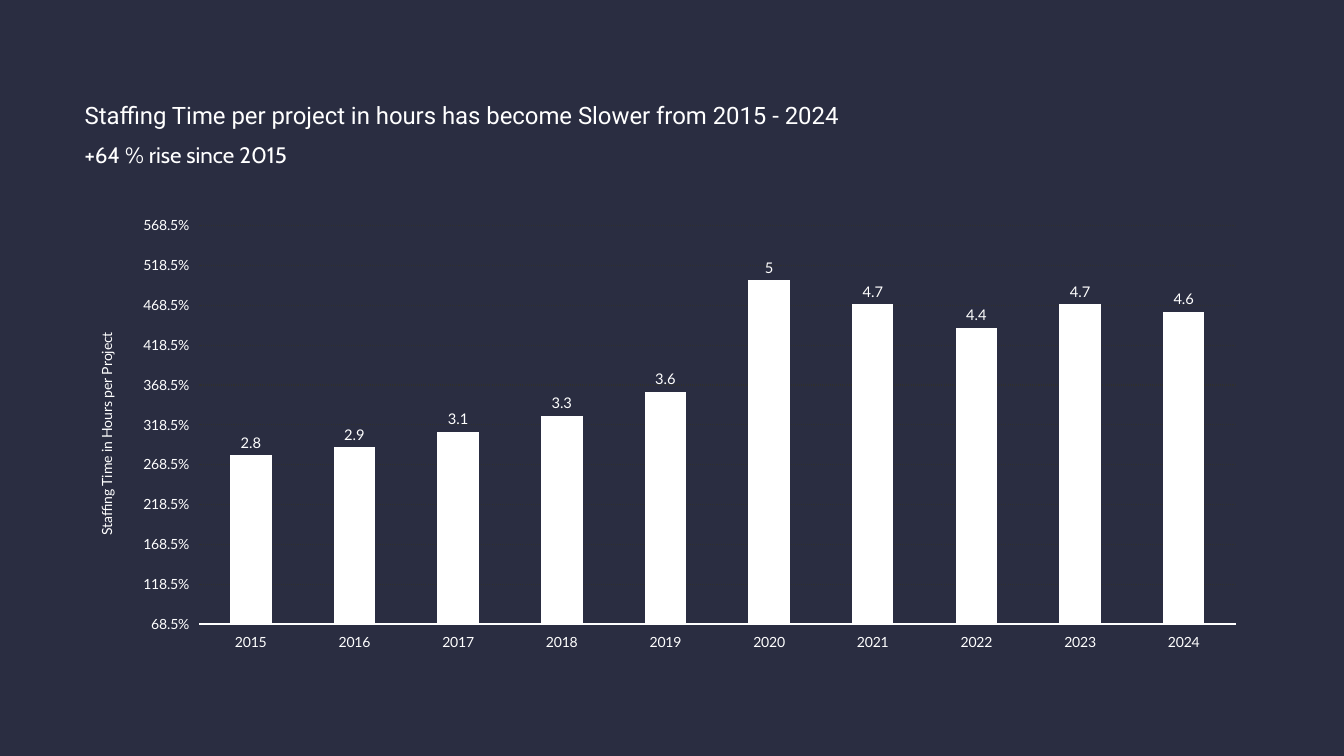
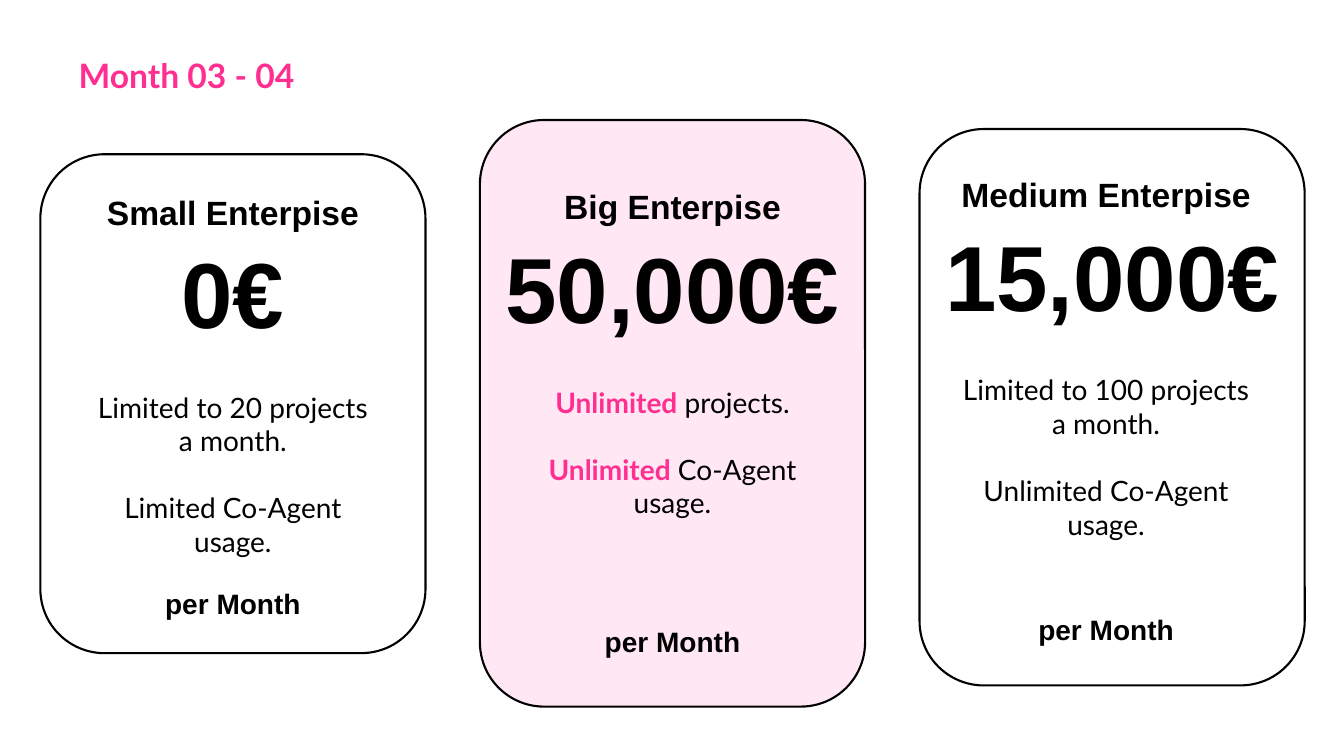
"""Builds a staffing time chart slide and a pricing card slide."""
import pptx
import pptx.chart.data
import pptx.dml.color
import pptx.enum.chart
import pptx.enum.dml
import pptx.enum.shapes
import pptx.enum.text
import pptx.oxml
import pptx.oxml.ns
import pptx.util

Inches = pptx.util.Inches
Pt = pptx.util.Pt
RGBColor = pptx.dml.color.RGBColor
Anchor = pptx.enum.text.MSO_ANCHOR
Align = pptx.enum.text.PP_ALIGN

NAVY = RGBColor(0x2A, 0x2D, 0x41)
WHITE = RGBColor(0xFF, 0xFF, 0xFF)
BLACK = RGBColor(0, 0, 0)
PINK = RGBColor(0xFF, 0x2F, 0x92)
GRID_GREY = RGBColor(0x2F, 0x2F, 0x2F)

SLIDE_SIZE = (13.33, 7.5)

CHART_TITLE = "Staffing Time per project in hours has become Slower from 2015 - 2024"
CHART_SUBTITLE = "+64 % rise since 2015"
AXIS_TITLE = "Staffing Time in Hours per Project"
YEARS = [str(year) for year in range(2015, 2025)]
HOURS = [2.8, 2.9, 3.1, 3.3, 3.6, 5, 4.7, 4.4, 4.7, 4.6]
AXIS_MINIMUM, AXIS_MAXIMUM, AXIS_STEP = 0.685, 5.685, 0.5
PLOT_SHARES = {"x": 0.105, "y": 0.04, "w": 0.875, "h": 0.88}

PRICING_TITLE = "Month 03 - 04"
PERIOD = "per Month"
CARDS = [
    {"name": "Small Enterpise", "price": "0€", "top": 1.53, "height": 4.95,
     "text_top": 1.85, "period_top": 5.77, "shift": 0, "tinted": False,
     "features": [("", "Limited to 20 projects a month."),
                  ("", "Limited Co-Agent usage.")]},
    {"name": "Big Enterpise", "price": "50,000€", "top": 1.19, "height": 5.82,
     "text_top": 1.8, "period_top": 6.15, "shift": 0, "tinted": True,
     "features": [("Unlimited", " projects."),
                  ("Unlimited", " Co-Agent usage.")]},
    {"name": "Medium Enterpise", "price": "15,000€", "top": 1.28, "height": 5.52,
     "text_top": 1.68, "period_top": 6.03, "shift": -0.06, "tinted": False,
     "features": [("", "Limited to 100 projects a month."),
                  ("", "Unlimited Co-Agent usage.")]},
]
CARD_LEFT, CARD_PITCH, CARD_WIDTH, TEXT_WIDTH = 0.4, 4.36, 3.82, 3.08
PRICE_OFFSET, FEATURES_OFFSET = 0.44, 1.97
TINT_ALPHA = 11000


def style_font(font, name, size, color, bold=False):
    font.name = name
    font.size = Pt(size)
    font.bold = bold
    font.color.rgb = color


def add_run(paragraph, text, *style):
    run = paragraph.add_run()
    run.text = text
    style_font(run.font, *style)


def prepare_frame(shape, anchor=Anchor.TOP, alignment=Align.LEFT):
    frame = shape.text_frame
    frame.word_wrap = True
    frame.auto_size = pptx.enum.text.MSO_AUTO_SIZE.NONE
    frame.vertical_anchor = anchor
    frame.paragraphs[0].alignment = alignment
    return frame


def add_text(shapes, box, text, *style, alignment=Align.LEFT):
    shape = shapes.add_textbox(*map(Inches, box))
    frame = prepare_frame(shape, alignment=alignment)
    add_run(frame.paragraphs[0], text, *style)


def add_titled_slide(presentation, background, box, text, *style, anchor=Anchor.TOP):
    slide = presentation.slides.add_slide(presentation.slide_layouts[5])
    slide.background.fill.solid()
    slide.background.fill.fore_color.rgb = background
    title = slide.shapes.title
    title.left, title.top, title.width, title.height = map(Inches, box)
    add_run(prepare_frame(title, anchor).paragraphs[0], text, *style)
    return slide


def place_plot(chart):
    shares = "".join(f'<c:{key} val="{share}"/>' for key, share in PLOT_SHARES.items())
    layout = pptx.oxml.parse_xml(
        f'<c:layout {pptx.oxml.ns.nsdecls("c")}><c:manualLayout>'
        '<c:layoutTarget val="inner"/><c:xMode val="edge"/><c:yMode val="edge"/>'
        f"{shares}</c:manualLayout></c:layout>")
    plot_area = chart._chartSpace.xpath("c:chart/c:plotArea")[0]
    for old_layout in plot_area.xpath("c:layout"):
        plot_area.remove(old_layout)
    plot_area.insert(0, layout)


def style_axes(chart):
    none = pptx.enum.chart.XL_TICK_MARK.NONE
    for axis in (chart.category_axis, chart.value_axis):
        axis.major_tick_mark = axis.minor_tick_mark = none
        axis.tick_label_position = pptx.enum.chart.XL_TICK_LABEL_POSITION.LOW
        style_font(axis.tick_labels.font, "Lato", 10, WHITE)
    chart.category_axis.format.line.color.rgb = WHITE
    chart.category_axis.format.line.width = Pt(2)

    value_axis = chart.value_axis
    value_axis.minimum_scale = AXIS_MINIMUM
    value_axis.maximum_scale = AXIS_MAXIMUM
    value_axis.major_unit = AXIS_STEP
    value_axis.tick_labels.number_format = "#,##0.0%"
    value_axis.tick_labels.number_format_is_linked = False
    value_axis.format.line.fill.background()
    grid_line = value_axis.major_gridlines.format.line
    grid_line.color.rgb = GRID_GREY
    grid_line.width = Pt(0.75)
    grid_line.dash_style = pptx.enum.dml.MSO_LINE.ROUND_DOT
    title_paragraph = value_axis.axis_title.text_frame.paragraphs[0]
    add_run(title_paragraph, AXIS_TITLE, "Lato", 10, WHITE)
    for body in chart._chartSpace.xpath(".//c:valAx/c:title//a:bodyPr"):
        body.set("rot", "-5400000")
        body.set("vert", "horz")


def build_chart_slide(presentation):
    slide = add_titled_slide(presentation, NAVY, (0.74, 0.69, 11.85, 0.64),
                             CHART_TITLE, "Roboto", 17.1, WHITE, anchor=Anchor.BOTTOM)
    add_text(slide.shapes, (0.74, 1.35, 11.85, 0.36), CHART_SUBTITLE, "Cabin", 16, WHITE)
    data = pptx.chart.data.CategoryChartData()
    data.categories = YEARS
    data.add_series("Series 1", HOURS)
    chart = slide.shapes.add_chart(
        pptx.enum.chart.XL_CHART_TYPE.COLUMN_CLUSTERED,
        *map(Inches, (0.74, 2.06, 11.75, 4.49)), data).chart
    chart.has_legend = False
    chart.has_title = False
    style_font(chart.font, "Cabin", 8, BLACK)
    style_axes(chart)
    place_plot(chart)

    plot = chart.plots[0]
    plot.gap_width = 150
    plot.vary_by_categories = False
    series = plot.series[0]
    series.format.fill.solid()
    series.format.fill.fore_color.rgb = WHITE
    labels = series.data_labels
    labels.show_value = True
    labels.position = pptx.enum.chart.XL_LABEL_POSITION.OUTSIDE_END
    style_font(labels.font, "Lato", 10.5, WHITE)


def add_outline(shapes, left, card):
    outline = shapes.add_shape(
        pptx.enum.shapes.MSO_SHAPE.ROUNDED_RECTANGLE,
        *map(Inches, (left, card["top"], CARD_WIDTH, card["height"])))
    outline.shadow.inherit = False
    outline.line.color.rgb = BLACK
    outline.line.width = Pt(1.5)
    if not card["tinted"]:
        outline.fill.background()
        return
    outline.fill.solid()
    outline.fill.fore_color.rgb = PINK
    color = outline._element.spPr.xpath("a:solidFill/a:srgbClr")[0]
    color.append(pptx.oxml.parse_xml(
        f'<a:alpha {pptx.oxml.ns.nsdecls("a")} val="{TINT_ALPHA}"/>'))


def add_features(shapes, box, features):
    frame = prepare_frame(shapes.add_textbox(*map(Inches, box)))
    for index, (highlight, text) in enumerate(features):
        paragraph = frame.add_paragraph() if index else frame.paragraphs[0]
        paragraph.alignment = Align.CENTER
        if index:
            paragraph.space_before = Pt(24)
        if highlight:
            add_run(paragraph, highlight, "Lato", 20, PINK, True)
        add_run(paragraph, text, "Lato", 20, BLACK)


def add_card(slide, index, card):
    shapes = slide.shapes.add_group_shape().shapes
    left = CARD_LEFT + index * CARD_PITCH
    text_left = left + (CARD_WIDTH - TEXT_WIDTH) / 2 + card["shift"]
    text_top = card["text_top"]
    add_outline(shapes, left, card)
    lines = [
        (card["name"], 24, text_left, text_top, TEXT_WIDTH, 0.5),
        (card["price"], 66, left, text_top + PRICE_OFFSET, CARD_WIDTH, 1.21),
        (PERIOD, 20, text_left, card["period_top"], TEXT_WIDTH, 0.44),
    ]
    for text, size, *box in lines:
        add_text(shapes, box, text, "Arial", size, BLACK, True, alignment=Align.CENTER)
    add_features(shapes, (text_left, text_top + FEATURES_OFFSET, TEXT_WIDTH, 1.45),
                 card["features"])


def build_pricing_slide(presentation):
    slide = add_titled_slide(presentation, WHITE, (0.68, 0.49, 6.42, 0.5),
                             PRICING_TITLE, "Lato", 24, PINK, True)
    for index, card in enumerate(CARDS):
        add_card(slide, index, card)


def main():
    presentation = pptx.Presentation()
    presentation.slide_width, presentation.slide_height = map(Inches, SLIDE_SIZE)
    build_chart_slide(presentation)
    build_pricing_slide(presentation)
    presentation.save("out.pptx")


if __name__ == "__main__":
    main()
